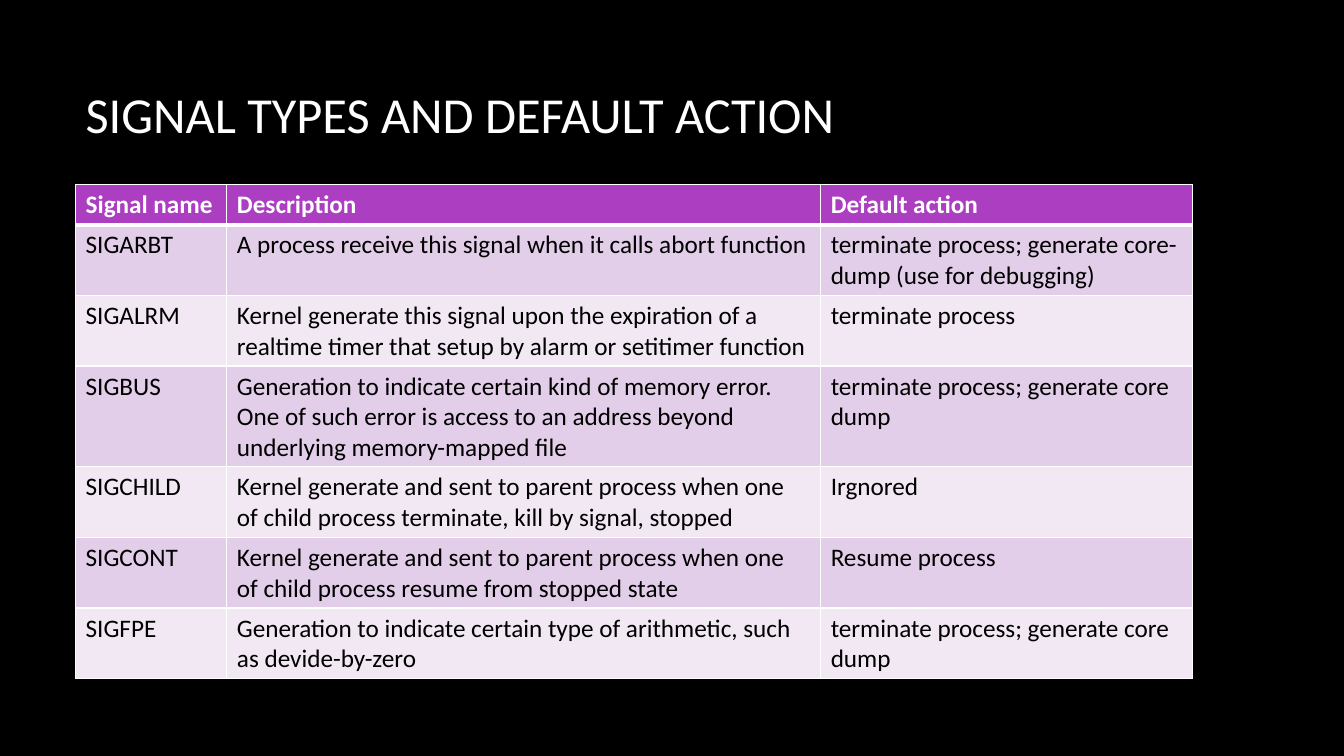
from dataclasses import dataclass

from lxml import etree
from pptx import Presentation
from pptx.dml.color import RGBColor
from pptx.enum.text import MSO_ANCHOR
from pptx.oxml.ns import qn
from pptx.util import Inches, Pt

MIDDLE = MSO_ANCHOR.MIDDLE
FONT = "Calibri"
WHITE = "FFFFFF"
BLACK = "000000"
PURPLE = "AC3EC1"
BANDS = ("E3CEE9", "F1E8F4")
LEFT, WIDTH = 0.75, 11.08
COLUMN_WIDTHS = (1.5, 5.89, 3.69)
THIN, THICK = 1, 3


@dataclass(frozen=True)
class Signal:
    name: str
    description: str
    action: str
    height: float = 0.59


HEADINGS = Signal("Signal name", "Description", "Default action", 0.33)
SIGNALS = (
    Signal("SIGARBT", "A process receive this signal when it calls abort function",
           "terminate process; generate core-dump (use for debugging)"),
    Signal("SIGALRM", "Kernel generate this signal upon the expiration of a realtime timer "
           "that setup by alarm or setitimer function", "terminate process"),
    Signal("SIGBUS", "Generation to indicate certain kind of memory error. One of such error "
           "is access to an address beyond underlying memory-mapped file",
           "terminate process; generate core dump", 0.84),
    Signal("SIGCHILD", "Kernel generate and sent to parent process when one of child process "
           "terminate, kill by signal, stopped", "Irgnored"),
    Signal("SIGCONT", "Kernel generate and sent to parent process when one of child process "
           "resume from stopped state", "Resume process"),
    Signal("SIGFPE", "Generation to indicate certain type of arithmetic, such as devide-by-zero",
           "terminate process; generate core dump"),
)


def rgb(color: str) -> RGBColor:
    return RGBColor.from_string(color)


def write(frame, text: str, size: int, color: str, bold: bool = False) -> None:
    paragraph = frame.paragraphs[0]
    paragraph.text = text
    font = paragraph.font
    font.name, font.size, font.bold = FONT, Pt(size), bold
    font.color.rgb = rgb(color)


def set_borders(cell, top: int, bottom: int) -> None:
    properties = cell._tc.get_or_add_tcPr()
    widths = {"a:lnL": THIN, "a:lnR": THIN, "a:lnT": top, "a:lnB": bottom}
    for position, (side, width) in enumerate(widths.items()):
        line = etree.Element(qn(side), w=str(Pt(width)))
        solid = etree.SubElement(line, qn("a:solidFill"))
        etree.SubElement(solid, qn("a:srgbClr"), val=WHITE)
        properties.insert(position, line)


def add_title(slide, text: str) -> None:
    title = slide.shapes.add_textbox(Inches(LEFT), Inches(0.67), Inches(WIDTH), Inches(0.9))
    title.text_frame.word_wrap = True
    title.text_frame.vertical_anchor = MIDDLE
    write(title.text_frame, text, 36, WHITE)


def add_signal_table(slide, signals: tuple[Signal, ...]) -> None:
    rows = (HEADINGS, *signals)
    table = slide.shapes.add_table(
        len(rows), len(COLUMN_WIDTHS), Inches(LEFT), Inches(1.83), Inches(WIDTH), Inches(4.9)
    ).table
    for column, width in zip(table.columns, COLUMN_WIDTHS):
        column.width = Inches(width)
    for index, signal in enumerate(rows):
        heading = index == 0
        table.rows[index].height = Inches(signal.height)
        fill = PURPLE if heading else BANDS[(index - 1) % 2]
        texts = (signal.name, signal.description, signal.action)
        for cell, text in zip(table.rows[index].cells, texts):
            cell.fill.solid()
            cell.fill.fore_color.rgb = rgb(fill)
            set_borders(cell, THICK if index == 1 else THIN, THICK if heading else THIN)
            write(cell.text_frame, text, 18, WHITE if heading else BLACK, heading)


def main() -> None:
    presentation = Presentation()
    presentation.slide_width = Inches(13.33)
    presentation.slide_height = Inches(7.5)
    slide = presentation.slides.add_slide(presentation.slide_layouts[6])
    slide.background.fill.solid()
    slide.background.fill.fore_color.rgb = rgb(BLACK)
    add_title(slide, "SIGNAL TYPES AND DEFAULT ACTION")
    add_signal_table(slide, SIGNALS)
    presentation.save("out.pptx")


if __name__ == "__main__":
    main()
